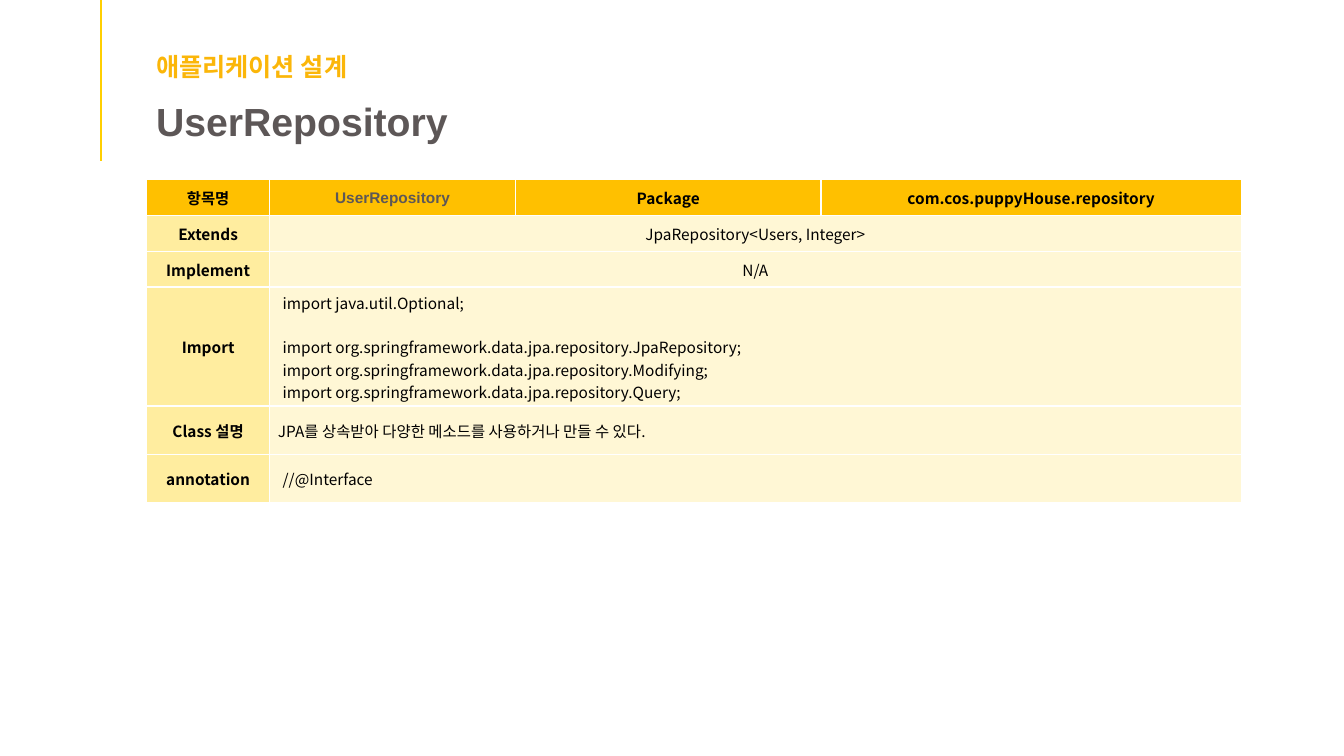
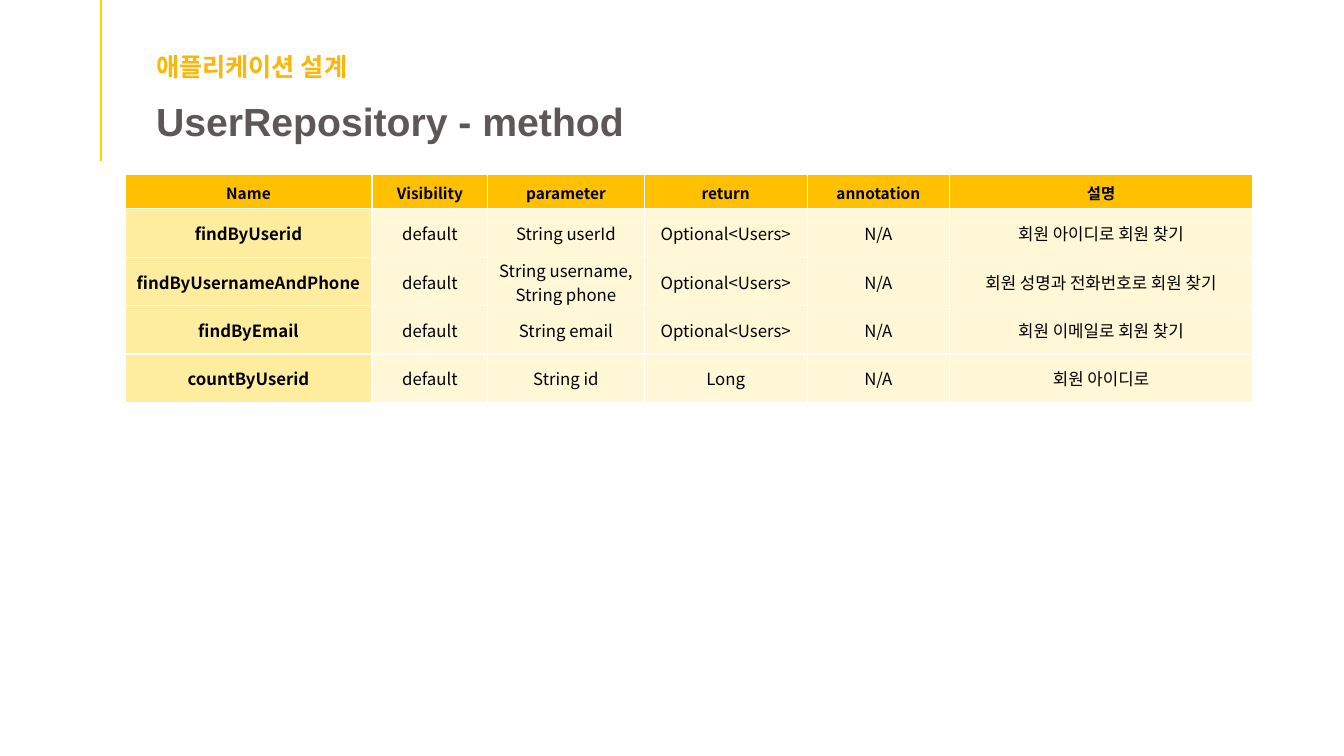
from dataclasses import dataclass

from lxml import etree
from pptx import Presentation
from pptx.dml.color import RGBColor
from pptx.enum.shapes import MSO_CONNECTOR
from pptx.enum.text import MSO_ANCHOR, PP_ALIGN
from pptx.oxml.ns import qn
from pptx.util import Pt

STRAIGHT = MSO_CONNECTOR.STRAIGHT
MIDDLE = MSO_ANCHOR.MIDDLE
LEFT, CENTER = PP_ALIGN.LEFT, PP_ALIGN.CENTER


@dataclass(frozen=True)
class Theme:
    accent: str = "FFCF01"
    section: str = "FBB609"
    title: str = "5D5757"
    text: str = "000000"
    header_fill: str = "FFC000"
    label_fill: str = "FFED9F"
    body_fill: str = "FFF7D5"
    border: str = "FFFFFF"
    heading_font: str = "Arial"
    table_font: str = "Noto Sans CJK KR"
    section_size: float = 18
    title_size: float = 28
    table_size: float = 11
    method_size: float = 12
    code_line: float = 16


@dataclass(frozen=True)
class Entry:
    lines: tuple
    indent: float = 0
    first_gap: float = 0
    align: int = LEFT
    font: str = Theme.table_font
    color: str = Theme.text


class DesignDeck:
    def __init__(self, theme):
        self.theme = theme
        self.deck = Presentation()
        self.deck.slide_width, self.deck.slide_height = Pt(960), Pt(540)
        self.page = None

    def add_page(self, section, title):
        theme = self.theme
        self.page = self.deck.slides.add_slide(self.deck.slide_layouts[6])
        self.line(72, 0, 72, 115.2)
        self.heading(section, 33, 397, 29, theme.section_size, theme.section)
        self.heading(title, 66.2, 480, 41, theme.title_size, theme.title)

    def line(self, x1, y1, x2, y2):
        rule = self.page.shapes.add_connector(STRAIGHT, Pt(x1), Pt(y1), Pt(x2), Pt(y2))
        rule.line.color.rgb = RGBColor.from_string(self.theme.accent)
        rule.line.width = Pt(1.5)
        etree.SubElement(rule.element.spPr, qn("a:effectLst"))

    def heading(self, text, top, width, height, size, color):
        box = self.page.shapes.add_textbox(Pt(104.4), Pt(top), Pt(width), Pt(height))
        box.text_frame.word_wrap = True
        self.span(box.text_frame.paragraphs[0], text, size, color,
                  self.theme.heading_font, True)

    def span(self, para, text, size, color, font, bold):
        span = para.add_run()
        span.text = text
        span.font.size = Pt(size)
        span.font.bold = bold
        span.font.color.rgb = RGBColor.from_string(color)
        span.font.name = font
        east_asian = etree.SubElement(span.font._element, qn("a:ea"))
        east_asian.set("typeface", self.theme.table_font)

    def table(self, left, top, widths, heights, rows, body_size):
        theme = self.theme
        frame = self.page.shapes.add_table(
            len(heights), len(widths), Pt(left), Pt(top), Pt(sum(widths)), Pt(sum(heights)))
        table = frame.table
        for column, width in zip(table.columns, widths):
            column.width = Pt(width)
        for row, height in zip(table.rows, heights):
            row.height = Pt(height)
        for cell in table.iter_cells():
            self.frame_cell(cell)
        last = len(widths) - 1
        for r, entries in enumerate(rows):
            if len(entries) <= last:
                table.cell(r, len(entries) - 1).merge(table.cell(r, last))
            for c, entry in enumerate(entries):
                if r == 0:
                    fill, size = theme.header_fill, theme.table_size
                else:
                    fill = theme.body_fill if c else theme.label_fill
                    size = body_size
                self.write_cell(table.cell(r, c), entry, fill, size, r == 0 or c == 0)

    def frame_cell(self, cell):
        cell.margin_left = cell.margin_right = cell.margin_top = Pt(0.7)
        cell.margin_bottom = 0
        cell.vertical_anchor = MIDDLE
        properties = cell._tc.get_or_add_tcPr()
        for side in ("lnL", "lnR", "lnT", "lnB"):
            border = etree.SubElement(properties, qn(f"a:{side}"), w=str(Pt(1)))
            paint = etree.SubElement(border, qn("a:solidFill"))
            etree.SubElement(paint, qn("a:srgbClr"), val=self.theme.border)

    def write_cell(self, cell, entry, fill, size, bold):
        if isinstance(entry, str):
            entry = Entry((entry,), align=CENTER)
        cell.fill.solid()
        cell.fill.fore_color.rgb = RGBColor.from_string(fill)
        for index, text in enumerate(entry.lines):
            text_frame = cell.text_frame
            para = text_frame.add_paragraph() if index else text_frame.paragraphs[0]
            para.alignment = entry.align
            if entry.indent:
                para._p.get_or_add_pPr().set("marL", str(Pt(entry.indent)))
            if index == 0 and entry.first_gap:
                para.space_after = Pt(entry.first_gap)
            self.span(para, text, size, entry.color, entry.font, bold)

    def save(self):
        self.deck.save("out.pptx")


def main():
    theme = Theme()
    design = DesignDeck(theme)
    section = "애플리케이션 설계"

    design.add_page(section, "UserRepository")
    class_name = Entry(("UserRepository",), align=CENTER,
                       font=theme.heading_font, color=theme.title)
    imports = Entry((
        "import java.util.Optional;",
        "import org.springframework.data.jpa.repository.JpaRepository;",
        "import org.springframework.data.jpa.repository.Modifying;",
        "import org.springframework.data.jpa.repository.Query;",
    ), indent=8.64, first_gap=theme.code_line)
    summary = Entry(("JPA를 상속받아 다양한 메소드를 사용하거나 만들 수 있다.",), indent=5.2)
    design.table(
        104.8, 128.2, [87.8, 175.7, 218.2, 300.2], [25.6] * 3 + [85] + [34.4] * 2,
        [
            ["항목명", class_name, "Package", "com.cos.puppyHouse.repository"],
            ["Extends", "JpaRepository<Users, Integer>"],
            ["Implement", "N/A"],
            ["Import", imports],
            ["Class 설명", summary],
            ["annotation", Entry(("//@Interface",), indent=8.64)],
        ], theme.table_size)

    design.add_page(section, "UserRepository - method")
    methods = [
        ("findByUserid", "String userId", "Optional<Users>", "회원 아이디로 회원 찾기"),
        ("findByUsernameAndPhone", "String username, String phone", "Optional<Users>",
         "회원 성명과 전화번호로 회원 찾기"),
        ("findByEmail", "String email", "Optional<Users>", "회원 이메일로 회원 찾기"),
        ("countByUserid", "String id", "Long", "회원 아이디로"),
    ]
    header = ["Name", "Visibility", "parameter", "return", "annotation", "설명"]
    body = [[name, "default", parameter, result, "N/A", note]
            for name, parameter, result, note in methods]
    design.table(
        89.3, 124.8, [176.4, 82.8, 111.6, 116.6, 101.5, 216.7],
        [24.3] + [34.6] * len(methods), [header] + body, theme.method_size)

    design.save()


if __name__ == "__main__":
    main()
